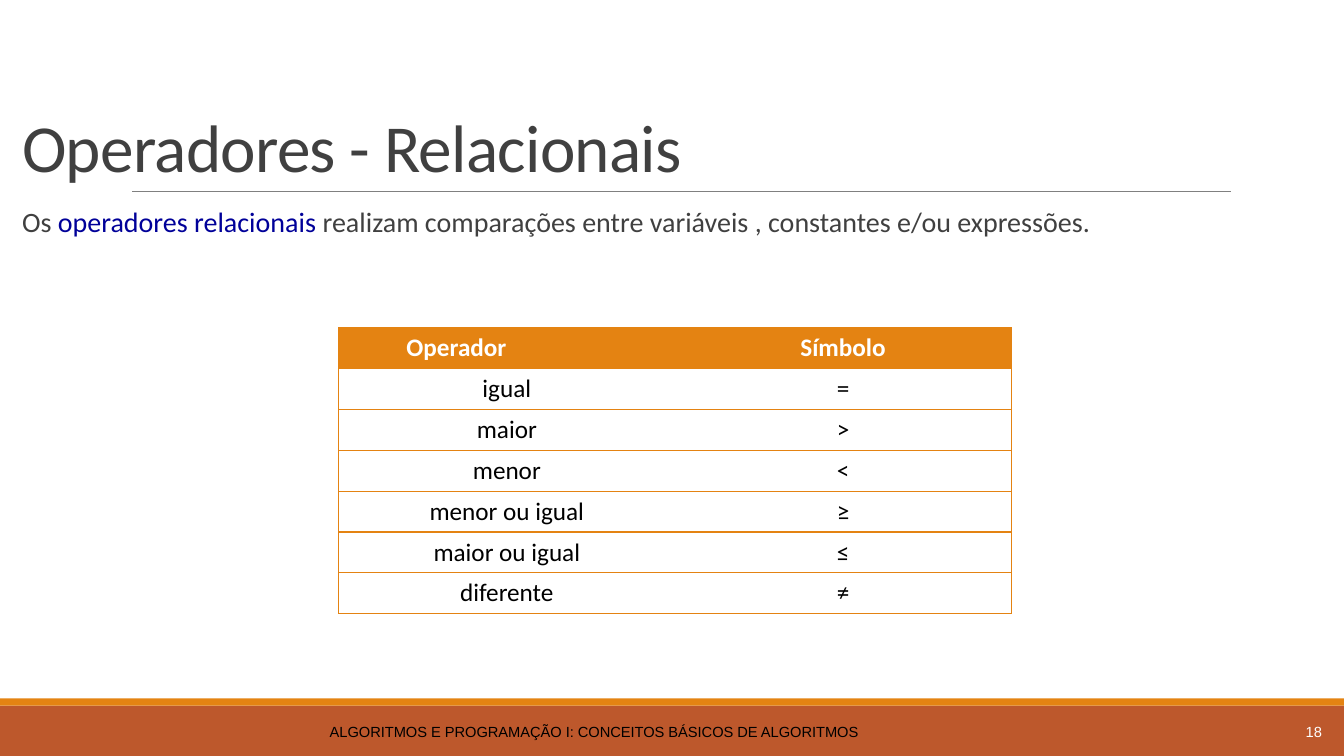
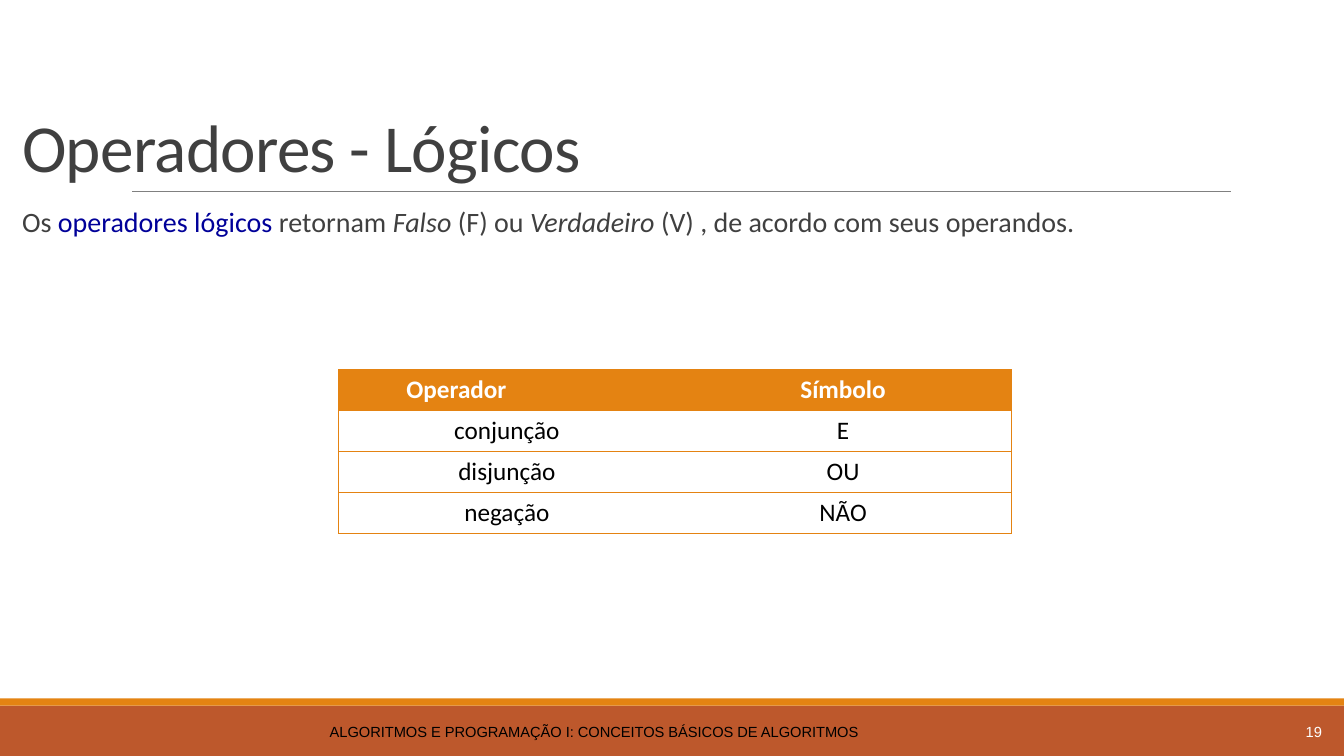
from dataclasses import dataclass

from lxml import etree
from pptx import Presentation
from pptx.dml.color import RGBColor
from pptx.enum.shapes import MSO_CONNECTOR, MSO_SHAPE
from pptx.enum.text import MSO_ANCHOR, MSO_AUTO_SIZE, PP_ALIGN
from pptx.oxml.ns import qn
from pptx.util import Inches, Pt

RECT = MSO_SHAPE.RECTANGLE
STRAIGHT = MSO_CONNECTOR.STRAIGHT
NO_AUTOFIT = MSO_AUTO_SIZE.NONE
MIDDLE, BOTTOM = MSO_ANCHOR.MIDDLE, MSO_ANCHOR.BOTTOM
LEFT, CENTER, RIGHT, JUSTIFY = (
    PP_ALIGN.LEFT, PP_ALIGN.CENTER, PP_ALIGN.RIGHT, PP_ALIGN.JUSTIFY)


@dataclass(frozen=True)
class Theme:
    orange: str = "E48312"
    rust: str = "BD582C"
    rule: str = "808080"
    text: str = "404040"
    term: str = "000099"
    black: str = "000000"
    white: str = "FFFFFF"
    font: str = "Calibri"
    footer_font: str = "Arial"
    title_size: float = 48
    body_size: float = 20
    table_size: float = 18
    footer_size: float = 10.5


THEME = Theme()
WIDTH, HEIGHT = 13.33, 7.5
TITLE_BOX = (0.12, 0.31, 13.1, 1.59)
BODY_BOX = (0.12, 2.02, 13.09, 4.91)
FOOTER_BOX = (0.12, 7.06, 11.55, 0.4)
NUMBER_BOX = (11.78, 7.06, 1.43, 0.4)
FOOTER = "ALGORITMOS E PROGRAMAÇÃO I: CONCEITOS BÁSICOS DE ALGORITMOS"
HEADER = ("Operador", "Símbolo")
HEADER_SHIFT = 1.1  # right margin that moves the first heading to the left

# Body runs are (text, style), where style is "", "term" or "italic".
SLIDES = [
    {
        "number": 18,
        "title": "Operadores - Relacionais",
        "body": [
            ("Os ", ""),
            ("operadores relacionais ", "term"),
            ("realizam comparações entre variáveis , constantes e/ou "
             "expressões.", ""),
        ],
        "table_box": (3.36, 3.25, 6.67, 2.84),
        "rows": [("igual", "="), ("maior", ">"), ("menor", "<"),
                 ("menor ou igual", "≥"), ("maior ou igual", "≤"),
                 ("diferente", "≠")],
    },
    {
        "number": 19,
        "title": "Operadores - Lógicos",
        "body": [
            ("Os ", ""),
            ("operadores lógicos ", "term"),
            ("retornam ", ""),
            ("Falso ", "italic"),
            ("(F) ou ", ""),
            ("Verdadeiro ", "italic"),
            ("(V) , de acordo com seus operandos.", ""),
        ],
        "table_box": (3.36, 3.67, 6.67, 1.62),
        "rows": [("conjunção", "E"), ("disjunção", "OU"), ("negação", "NÃO")],
    },
]


def inches(box):
    return [Inches(v) for v in box]


def style_font(font, size, color, name=THEME.font, bold=False):
    font.name = name
    font.size = Pt(size)
    font.bold = bold
    font.color.rgb = RGBColor.from_string(color)


def add_band(s, box, color):
    band = s.shapes.add_shape(RECT, *inches(box))
    band.shadow.inherit = False
    band.fill.solid()
    band.fill.fore_color.rgb = RGBColor.from_string(color)
    band.line.fill.background()


def add_rule(s, left, right, y):
    rule = s.shapes.add_connector(STRAIGHT, *inches((left, y, right, y)))
    rule.line.color.rgb = RGBColor.from_string(THEME.rule)
    rule.line.width = Pt(0.5)
    etree.SubElement(rule.element.spPr, qn("a:effectLst"))


def add_footer_text(s, box, text, align, color):
    tf = s.shapes.add_textbox(*inches(box)).text_frame
    tf.word_wrap = True
    tf.vertical_anchor = MIDDLE
    tf.text = text
    p = tf.paragraphs[0]
    p.alignment = align
    style_font(p.runs[0].font, THEME.footer_size, color, THEME.footer_font)


def add_frame(s, number):
    """Draw the bands, rule and footer that every slide shares."""
    add_band(s, (0, 7, WIDTH, 0.5), THEME.rust)
    add_band(s, (0, 6.93, WIDTH, 0.07), THEME.orange)
    add_rule(s, 1.31, 12.21, 1.9)
    add_footer_text(s, FOOTER_BOX, FOOTER, CENTER, THEME.black)
    add_footer_text(s, NUMBER_BOX, str(number), RIGHT, THEME.white)


def set_title(s, box, text):
    title = s.shapes.title
    title.left, title.top, title.width, title.height = inches(box)
    tf = title.text_frame
    tf.auto_size = NO_AUTOFIT
    tf.vertical_anchor = BOTTOM
    tf.text = text
    p = tf.paragraphs[0]
    p.alignment = LEFT
    p.line_spacing = 0.85
    r = p.runs[0]
    style_font(r.font, THEME.title_size, THEME.text)
    r.font._element.set("spc", "-50")


def add_body(s, box, runs):
    tf = s.shapes.add_textbox(*inches(box)).text_frame
    tf.word_wrap = True
    p = tf.paragraphs[0]
    p.alignment = JUSTIFY
    p.line_spacing = 0.9
    for text, style in runs:
        r = p.add_run()
        r.text = text
        color = THEME.term if style == "term" else THEME.text
        style_font(r.font, THEME.body_size, color)
        r.font.italic = style == "italic"


def set_borders(cell, visible):
    """Draw the sides named in visible (letters of LRTB) and clear the rest."""
    tc_pr = cell._tc.get_or_add_tcPr()
    for side in "LRTB":
        line = etree.SubElement(tc_pr, qn(f"a:ln{side}"), w=str(Pt(1)))
        if side in visible:
            fill = etree.SubElement(line, qn("a:solidFill"))
            etree.SubElement(fill, qn("a:srgbClr"), val=THEME.orange)
        else:
            etree.SubElement(line, qn("a:noFill"))


def add_operator_table(s, box, rows):
    rows = [HEADER, *rows]
    table = s.shapes.add_table(len(rows), len(HEADER), *inches(box)).table
    table.horz_banding = False
    for i, row in enumerate(rows):
        for j, text in enumerate(row):
            cell = table.cell(i, j)
            cell.text = text
            p = cell.text_frame.paragraphs[0]
            p.alignment = CENTER
            color = THEME.black if i else THEME.white
            style_font(p.runs[0].font, THEME.table_size, color, bold=i == 0)
            set_borders(cell, "RTB" if j else "LTB")
            if i:
                cell.fill.background()
            else:
                cell.fill.solid()
                cell.fill.fore_color.rgb = RGBColor.from_string(THEME.orange)
    table.cell(0, 0).margin_right = Inches(HEADER_SHIFT)


def add_operator_slide(prs, content):
    s = prs.slides.add_slide(prs.slide_layouts.get_by_name("Title Only"))
    add_frame(s, content["number"])
    set_title(s, TITLE_BOX, content["title"])
    add_body(s, BODY_BOX, content["body"])
    add_operator_table(s, content["table_box"], content["rows"])


def main():
    prs = Presentation()
    prs.slide_width, prs.slide_height = Inches(WIDTH), Inches(HEIGHT)
    for content in SLIDES:
        add_operator_slide(prs, content)
    prs.save("out.pptx")


if __name__ == "__main__":
    main()
